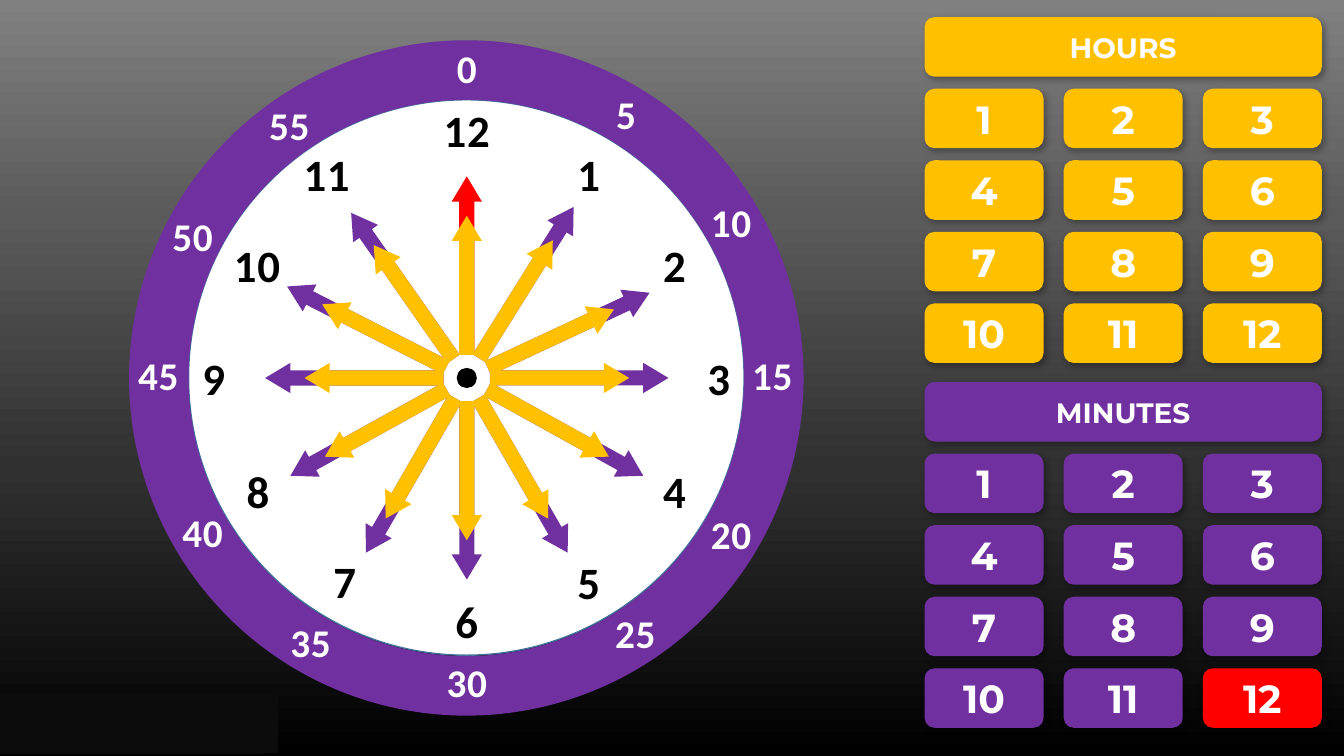
"""Build a clock face with its hands and the hour and minute buttons."""
from math import cos, radians, sin

from pptx import Presentation
from pptx.dml.color import RGBColor
from pptx.enum.shapes import MSO_SHAPE as Shape
from pptx.enum.text import MSO_ANCHOR as Anchor, MSO_AUTO_SIZE as Auto, PP_ALIGN as Align
from pptx.oxml import parse_xml
from pptx.oxml.ns import nsdecls
from pptx.util import Inches, Pt

GOLD, PURPLE, RED = "FFC000", "7030A0", "FF0000"
WHITE, BLACK = "FFFFFF", "000000"
STOPS = [(0, "808080"), (29, "5A5A5A"), (62, "303030"), (100, BLACK)]
MID_X, MID_Y = 4.63, 3.75
HOURS = [
    ("1", 5.84, 1.73), ("2", 6.69, 2.63), ("3", 7.13, 3.75),
    ("4", 6.69, 4.87), ("5", 5.84, 5.77), ("6", 4.63, 6.16),
    ("7", 3.42, 5.76), ("8", 2.56, 4.87), ("9", 2.12, 3.75),
    ("10", 2.55, 2.63), ("11", 3.24, 1.73), ("12", 4.63, 1.29),
]
MINUTES = [
    ("5", 6.21, 1.13), ("10", 7.25, 2.2), ("15", 7.66, 3.72),
    ("20", 7.25, 5.3), ("25", 6.3, 6.28), ("30", 4.63, 6.77),
    ("35", 3.08, 6.37), ("40", 2.01, 5.28), ("45", 1.57, 3.72),
    ("50", 1.91, 2.34), ("55", 2.87, 1.24), ("0", 4.63, 0.68),
]
LABELS = [
    (HOURS, 32, BLACK, (0.44, 0.67), 0.64),
    (MINUTES, 28, WHITE, (0.41, 0.62), 0.57),
]
ANGLES = [32, 65, 90, 119, 150, 180, 210, 241, 270, 297, 325, 0]
HANDS = [(1.77, "70309F", RED), (1.38, GOLD, GOLD)]
HUB, HAND_W = 0.23, 0.3
PANELS = [("HOURS", 0.17, GOLD, GOLD), ("MINUTES", 3.79, PURPLE, RED)]
LEFT, STEP_X, STEP_Y = 9.17, 1.38, 0.71
KEY_W, KEY_H, HEAD_W = 1.18, 0.59, 3.94
PATCHES = [(-0.01, 6.89), (0.14, 6.88)]


def color(code):
    return RGBColor.from_string(code)


def draw(slide, kind, x, y, w, h, fill):
    shape = slide.shapes.add_shape(kind, Inches(x), Inches(y), Inches(w), Inches(h))
    shape.shadow.inherit = False
    shape.fill.solid()
    shape.fill.fore_color.rgb = color(fill)
    shape.line.fill.background()
    return shape


def write(frame, text, face, size, code):
    para = frame.paragraphs[0]
    run = para.add_run()
    run.text = text
    para.alignment = Align.CENTER
    font = para.font
    font.name, font.size, font.bold = face, Pt(size), True
    font.color.rgb = color(code)
    return run


def paint(slide):
    stops = "".join(
        f'<a:gs pos="{at * 1000}"><a:srgbClr val="{code}"/></a:gs>' for at, code in STOPS
    )
    slide.element.cSld.insert(0, parse_xml(
        f'<p:bg {nsdecls("p", "a")}><p:bgPr><a:gradFill rotWithShape="1">'
        f'<a:gsLst>{stops}</a:gsLst><a:lin ang="5400000" scaled="0"/></a:gradFill>'
        '<a:effectLst/></p:bgPr></p:bg>'
    ))


def label(slide, text, x, y, w, h, size, code):
    box = slide.shapes.add_textbox(
        Inches(x - w / 2), Inches(y - h / 2), Inches(w), Inches(h))
    box.text_frame.word_wrap = False
    box.text_frame.auto_size = Auto.SHAPE_TO_FIT_TEXT
    run = write(box.text_frame, text, "Calibri", size, code)
    run._r.get_or_add_rPr().set("spc", "50")


def hand(slide, angle, size, fill):
    reach = HUB + size / 2
    x = MID_X + reach * sin(radians(angle))
    y = MID_Y - reach * cos(radians(angle))
    arrow = draw(slide, Shape.UP_ARROW, x - HAND_W / 2, y - size / 2, HAND_W, size, fill)
    arrow.adjustments[0], arrow.adjustments[1] = 0.5, 0.835
    arrow.rotation = angle


def key(slide, text, x, y, w, size, fill):
    shape = draw(slide, Shape.ROUNDED_RECTANGLE, x, y, w, KEY_H, fill)
    shape.text_frame.vertical_anchor = Anchor.MIDDLE
    write(shape.text_frame, text, "Montserrat", size, WHITE)
    props = shape.element.spPr
    props.remove(props.effectLst)
    props.append(parse_xml(
        f'<a:effectLst {nsdecls("a")}><a:outerShdw blurRad="{Pt(4.5)}" dist="{Pt(2.6)}" '
        f'dir="{53 * 60000}" algn="tl" rotWithShape="0"><a:srgbClr val="{BLACK}">'
        '<a:alpha val="30000"/></a:srgbClr></a:outerShdw></a:effectLst>'
    ))


def main():
    deck = Presentation()
    deck.slide_width, deck.slide_height = Inches(13.33), Inches(7.5)
    slide = deck.slides.add_slide(deck.slide_layouts[6])
    paint(slide)

    face = draw(slide, Shape.OVAL, 1.87, 0.99, 5.51, 5.51, WHITE)
    face.line.color.rgb = color("43739E")
    face.line.width = Pt(1)
    draw(slide, Shape.OVAL, 4.53, 3.65, 0.2, 0.2, BLACK)
    ring = draw(slide, Shape.DONUT, 1.28, 0.4, 6.69, 6.7, PURPLE)
    ring.adjustments[0] = 0.59 / 6.69

    for marks, size, code, widths, h in LABELS:
        for text, x, y in marks:
            label(slide, text, x, y, widths[len(text) - 1], h, size, code)

    for size, fill, top in HANDS:
        for angle in ANGLES:
            hand(slide, angle, size, fill if angle else top)

    for title, y, fill, last in PANELS:
        key(slide, title, LEFT, y, HEAD_W, 20, fill)
        for i in range(12):
            row, col = divmod(i, 3)
            key(slide, str(i + 1), LEFT + col * STEP_X, y + (row + 1) * STEP_Y,
                KEY_W, 28, last if i == 11 else fill)

    for x, y in PATCHES:
        draw(slide, Shape.RECTANGLE, x, y, 2.62, KEY_H, "0C0C0C")
    deck.save("out.pptx")


if __name__ == "__main__":
    main()
